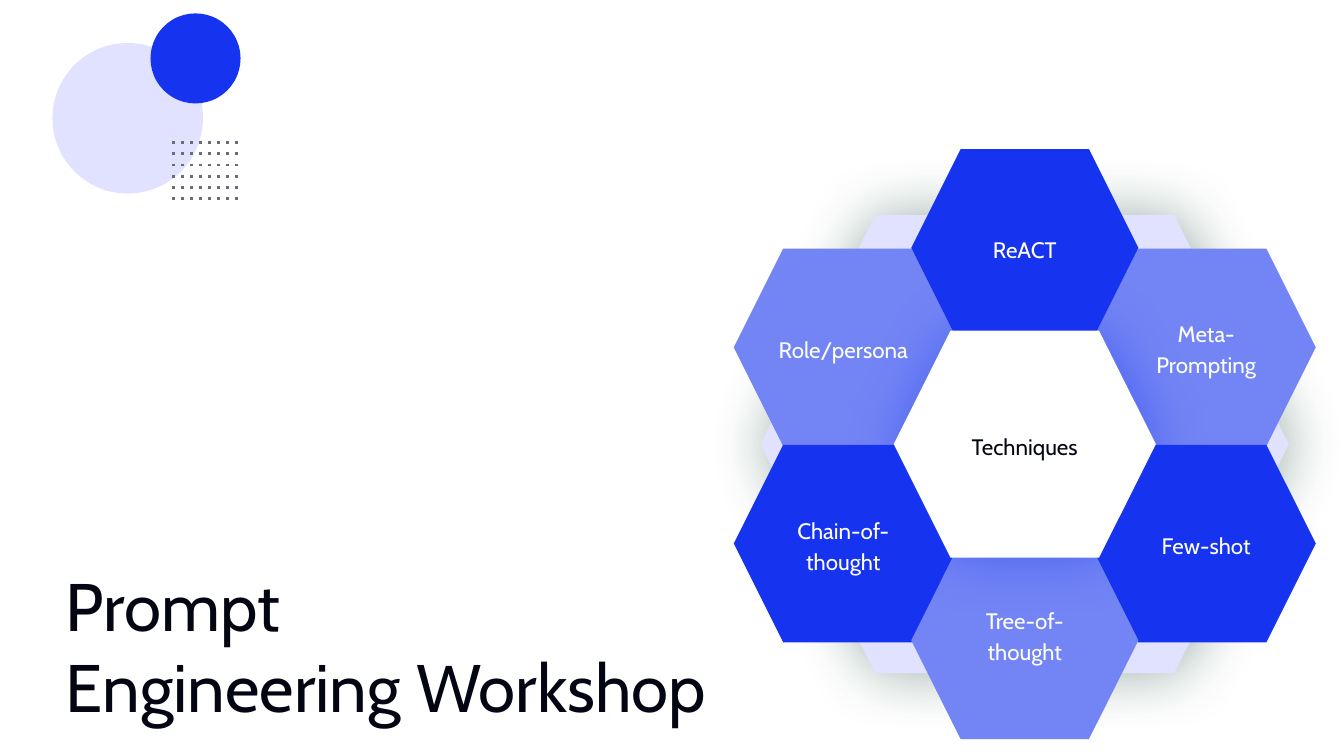
import pptx
import pptx.dml.color
import pptx.enum.shapes
import pptx.enum.text
import pptx.oxml.ns
import pptx.util
from lxml import etree

Inches = pptx.util.Inches
Pt = pptx.util.Pt
RGBColor = pptx.dml.color.RGBColor
SHAPE = pptx.enum.shapes.MSO_SHAPE
ANCHOR = pptx.enum.text.MSO_ANCHOR
ALIGN = pptx.enum.text.PP_ALIGN
qn = pptx.oxml.ns.qn

INK = RGBColor(0x03, 0x06, 0x12)
WHITE = RGBColor(0xFF, 0xFF, 0xFF)
BLUE = RGBColor(0x16, 0x34, 0xEF)
PERIWINKLE = RGBColor(0x73, 0x85, 0xF5)
LAVENDER = RGBColor(0xE0, 0xE2, 0xFF)
GREEN = RGBColor(0x11, 0x40, 0x35)
GREY = RGBColor(0x69, 0x6D, 0x79)
FONT = "Cabin"

TILES = [
    ("Role/persona", -1, -0.72, PERIWINKLE, 0),
    ("Meta-\nPrompting", 1, -0.72, PERIWINKLE, 0),
    ("Chain-of-\nthought", -1, 0.74, BLUE, 0),
    ("Few-shot", 1, 0.74, BLUE, 0),
    ("ReACT", 0, -1.46, BLUE, 0),
    ("Tree-of-\nthought", 0, 1.46, PERIWINKLE, 0.05),
]


def add_shape(s, kind, left, top, width, height, color):
    """Add a plain filled shape without outline or shadow."""
    sp = s.shapes.add_shape(kind, Inches(left), Inches(top), Inches(width), Inches(height))
    sp.fill.solid()
    sp.fill.fore_color.rgb = color
    sp.line.fill.background()
    sp.shadow.inherit = False
    return sp


def add_hexagon(s, cx, cy, width, height, color, glow=None):
    """Add a hexagon around a centre, with an optional soft shadow."""
    sp = add_shape(s, SHAPE.HEXAGON, cx - width / 2, cy - height / 2, width, height, color)
    sp.adjustments[0] = 0.25
    if glow is not None:
        effects = sp._element.spPr.find(qn("a:effectLst"))
        shadow = etree.SubElement(effects, qn("a:outerShdw"), blurRad=str(Pt(32.6)),
                                  dist=str(Pt(1.5)), algn="bl", rotWithShape="0")
        clr = etree.SubElement(shadow, qn("a:srgbClr"), val=str(glow))
        etree.SubElement(clr, qn("a:alpha"), val="42000")


def format_text(tf, size, color, anchor, align, spacing=None):
    """Format every paragraph of a text frame alike."""
    tf.word_wrap = True
    tf.auto_size = pptx.enum.text.MSO_AUTO_SIZE.NONE
    tf.vertical_anchor = anchor
    tf.margin_left = tf.margin_right = tf.margin_top = tf.margin_bottom = Inches(0.1)
    for p in tf.paragraphs:
        p.alignment = align
        if spacing:
            p.line_spacing = spacing
        for r in p.runs:
            r.font.name = FONT
            r.font.size = Pt(size)
            r.font.color.rgb = color


def add_label(s, text, cx, cy, color):
    """Add a centred label around a point."""
    width, height = 1.61, 1.12
    tb = s.shapes.add_textbox(Inches(cx - width / 2), Inches(cy - height / 2),
                              Inches(width), Inches(height))
    tb.text_frame.text = text
    format_text(tb.text_frame, 12, color, ANCHOR.MIDDLE, ALIGN.CENTER, 1.15)


def place_title(s, left, top, width, height):
    """Move and format the title placeholder."""
    title = s.shapes.title
    title.left, title.top = Inches(left), Inches(top)
    title.width, title.height = Inches(width), Inches(height)
    title.text_frame.text = "Prompt \vEngineering Workshop"
    format_text(title.text_frame, 36, INK, ANCHOR.BOTTOM, ALIGN.LEFT)


def add_honeycomb(s, left, top, width, height):
    """Draw the ring of techniques around its centre hexagon."""
    cx, cy = left + width / 2, top + height / 2
    add_hexagon(s, cx, cy, 3.93, 3.41, LAVENDER, GREEN)
    for text, column, dy, color, lift in TILES:
        add_hexagon(s, cx + column * 1.32, cy + dy, 1.69, 1.47, color)
    add_hexagon(s, cx, cy, 1.95, 1.69, WHITE, BLUE)
    for text, column, dy, color, lift in TILES:
        add_label(s, text, cx + column * 1.35, cy + dy - lift, WHITE)
    add_label(s, "Techniques", cx, cy, INK)


def add_ornament(s, left, top, width, height):
    """Draw two circles and a grid of dots in the corner."""
    add_shape(s, SHAPE.OVAL, left, top + 0.22, 1.12, 1.12, LAVENDER)
    add_shape(s, SHAPE.OVAL, left + width - 0.67, top, 0.67, 0.67, BLUE)
    bottom = top + height
    for i in range(8):
        x = Inches(left + 0.9 + i * 0.47 / 7)
        line = s.shapes.add_connector(pptx.enum.shapes.MSO_CONNECTOR.STRAIGHT,
                                      x, Inches(bottom - 0.47), x, Inches(bottom))
        line.line.color.rgb = GREY
        line.line.width = Pt(1.5)
        spPr = line._element.spPr
        etree.SubElement(spPr.find(qn("a:ln")), qn("a:prstDash"), val="dot")
        etree.SubElement(spPr, qn("a:effectLst"))


def main():
    """Build and save the slide."""
    prs = pptx.Presentation()
    prs.slide_width = Inches(10)
    prs.slide_height = prs.slide_width * 9 // 16
    s = prs.slides.add_slide(prs.slide_layouts[5])
    s.background.fill.solid()
    s.background.fill.fore_color.rgb = WHITE
    place_title(s, 0.39, 1.85, 5.08, 3.65)
    add_honeycomb(s, 5.46, 1.11, 4.33, 4.39)
    add_ornament(s, 0.39, 0.1, 1.4, 1.42)
    prs.save("out.pptx")


if __name__ == "__main__":
    main()
